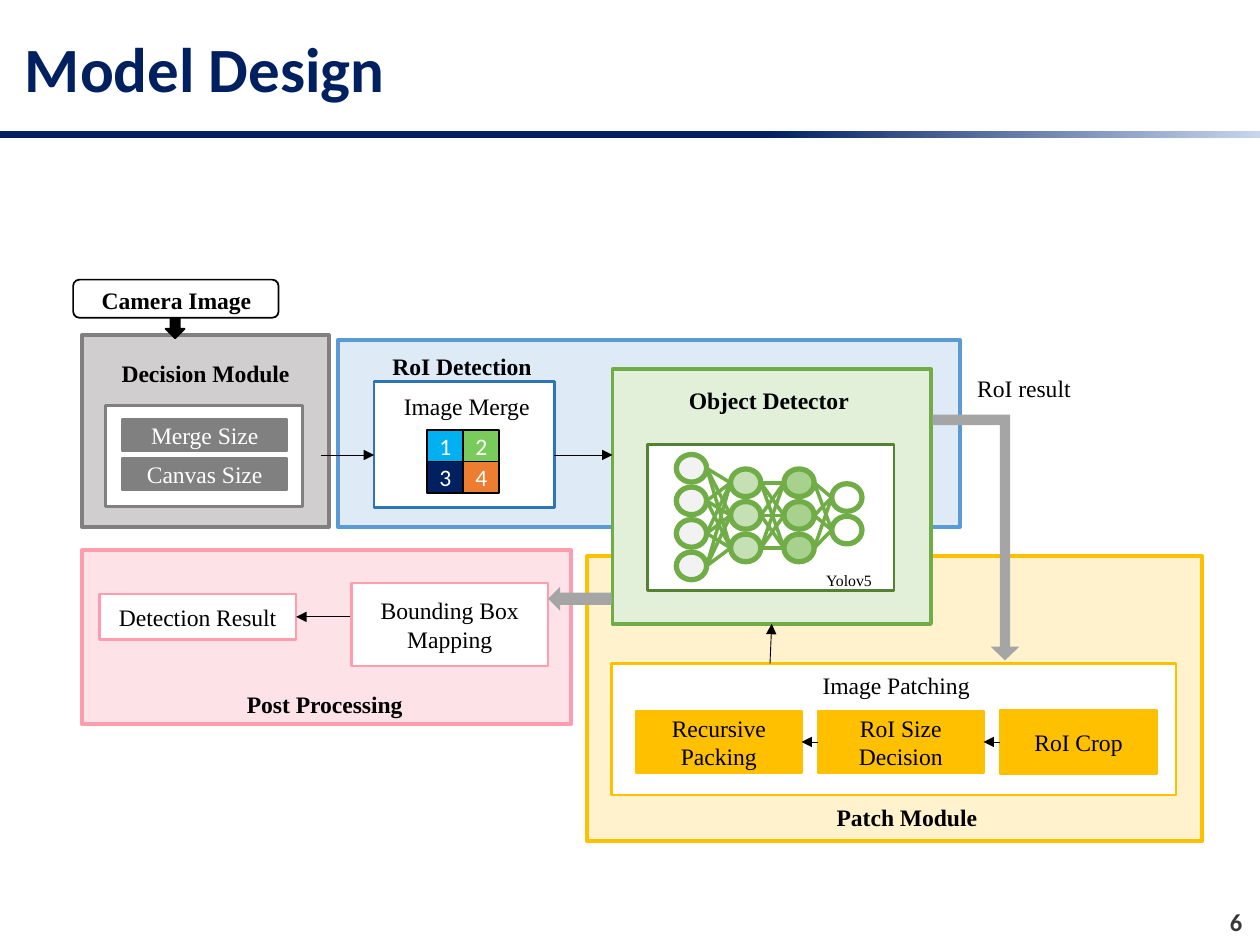
from itertools import product

from lxml.etree import SubElement
from pptx import Presentation
from pptx.dml.color import RGBColor
from pptx.enum.shapes import MSO_CONNECTOR, MSO_SHAPE
from pptx.enum.text import MSO_ANCHOR, MSO_AUTO_SIZE, PP_ALIGN
from pptx.oxml.ns import qn
from pptx.util import Pt

SERIF, SANS = "Times New Roman", "Calibri"
BLACK, WHITE, GRAY, NAVY = "000000", "FFFFFF", "808080", "002060"
PINK, GOLD, GREEN, ARROW_GRAY = "FD9DAD", "FFC000", "70AD47", "A5A5A5"


def color(hex_value):
    return RGBColor.from_string(hex_value)


class Diagram:
    """Holds the text style and the slide, with one method per kind of element."""

    text_style = {"name": SERIF, "size": Pt(13.5), "bold": False}

    def __init__(self, slide):
        self.slide = slide
        self.shapes = slide.shapes

    def add_text(self, shape, text, ink=BLACK, align=PP_ALIGN.LEFT, **changes):
        para = shape.text_frame.paragraphs[0]
        para.alignment = align
        span = para.add_run()
        span.text = text
        for name, value in {**self.text_style, **changes}.items():
            setattr(span.font, name, value)
        span.font.color.rgb = color(ink)

    def box(self, place, fill=None, line=None, width=1.5, text=None,
            kind=MSO_SHAPE.RECTANGLE, **text_format):
        shape = self.shapes.add_shape(kind, *map(Pt, place))
        shape.shadow.inherit = False
        for part, value in ((shape.fill, fill), (shape.line.fill, line)):
            if value:
                part.solid()
                part.fore_color.rgb = color(value)
            else:
                part.background()
        if line:
            shape.line.width = Pt(width)
        if text:
            shape.text_frame.word_wrap = True
            shape.text_frame.vertical_anchor = MSO_ANCHOR.MIDDLE
            self.add_text(shape, text, align=PP_ALIGN.CENTER, **text_format)
        return shape

    def label(self, place, text, wrap=False, grow=True,
              anchor=MSO_ANCHOR.TOP, **text_format):
        shape = self.shapes.add_textbox(*map(Pt, place))
        frame = shape.text_frame
        frame.word_wrap = wrap
        frame.vertical_anchor = anchor
        frame.auto_size = (MSO_AUTO_SIZE.SHAPE_TO_FIT_TEXT if grow
                           else MSO_AUTO_SIZE.NONE)
        self.add_text(shape, text, **text_format)

    def line(self, start, end, ink=BLACK, width=0.5, arrow=True,
             begin_at=None, end_at=None):
        link = self.shapes.add_connector(
            MSO_CONNECTOR.STRAIGHT, *map(Pt, (*start, *end)))
        link.line.color.rgb = color(ink)
        link.line.width = Pt(width)
        if begin_at:
            link.begin_connect(*begin_at)
        if end_at:
            link.end_connect(*end_at)
        properties = link.element.spPr
        if arrow:
            SubElement(properties.find(qn("a:ln")), qn("a:tailEnd"), type="triangle")
        SubElement(properties, qn("a:effectLst"))

    def network(self, layers, node_width, node_height, step):
        """Draw fully linked layers of (left, first top, count, fill) as a group."""
        self.shapes = self.slide.shapes.add_group_shape().shapes
        columns = [[(left, top + step * row) for row in range(count)]
                   for left, top, count, _ in layers]
        for sources, targets in zip(columns, columns[1:]):
            for (x1, y1), (x2, y2) in product(sources, targets):
                self.line((x1 + node_width, y1 + node_height / 2),
                          (x2, y2 + node_height / 2), GREEN, 2, arrow=False)
        for nodes, (_, _, _, fill) in zip(columns, layers):
            for left, top in nodes:
                self.box((left, top, node_width, node_height), fill, GREEN, 3,
                         kind=MSO_SHAPE.OVAL)
        self.shapes = self.slide.shapes


def main():
    deck = Presentation()
    deck.slide_width, deck.slide_height = Pt(720), Pt(540)
    page = Diagram(deck.slides.add_slide(deck.slide_layouts[6]))

    # Title, rule and page number
    rule = page.box((0, 75, 720, 3.6), NAVY)
    rule.fill.gradient()
    rule.fill.gradient_angle = 0
    for stop, (position, ink) in zip(rule.fill.gradient_stops,
                                     ((0.61, NAVY), (1, "C7D5ED"))):
        stop.position = position
        stop.color.rgb = color(ink)
    page.label((7.2, 9.4, 684, 57.6), "Model Design", wrap=True, grow=False,
               anchor=MSO_ANCHOR.MIDDLE, name=SANS, size=Pt(36), bold=True, ink=NAVY)
    page.label((687, 515, 30, 21.6), "6", wrap=True, grow=False, name=SANS,
               size=Pt(14), bold=True, ink="3B3838", align=PP_ALIGN.RIGHT)

    # Module panels, back to front
    for place, fill, line in (
        ((46.8, 191.5, 141, 109.5), "D0CECE", GRAY),
        ((46.8, 314.5, 279.5, 99.5), "FDE3E7", PINK),
        ((335.5, 318, 351.5, 162.7), "FFF2CC", GOLD),
        ((193, 194.4, 355.7, 106.6), "DEEBF7", "5B9BD5"),
    ):
        page.box(place, fill, line, 2.25)
    detector = page.box((350, 211, 182, 145.5), "E2F0D9", GREEN, 2.25)

    # Camera input
    page.box((41.8, 159.8, 117.4, 21.8), None, BLACK, 1,
             kind=MSO_SHAPE.ROUNDED_RECTANGLE)
    camera_arrow = page.box((94.3, 182.2, 11.5, 10.8), BLACK, BLACK, 1,
                            kind=MSO_SHAPE.RIGHT_ARROW)
    camera_arrow.rotation = 90

    # Decision module
    page.box((60.5, 231.8, 112.3, 57.6), WHITE, GRAY)
    for row, text in enumerate(("Merge Size", "Canvas Size")):
        page.box((69.8, 239.8 + 22.3 * row, 94.3, 18), GRAY, GRAY,
                 text=text, ink=WHITE)

    # Image merge with its two by two tiles
    page.box((213.8, 218, 103, 72), WHITE, "2E75B6")
    for index, fill in enumerate(("00B0F0", "79CC5C", NAVY, "ED7D31")):
        row, column = divmod(index, 2)
        page.box((244 + 20.5 * column, 245.7 + 18 * row, 20.5, 18), fill, BLACK, 1,
                 text=str(index + 1), ink=WHITE, name=SANS)

    # Object detector
    page.box((370, 254, 141, 83.5), WHITE, "548235")
    page.network(((386.5, 259.7, 4, "F2F2F2"), (417.5, 268, 3, "C5E0B4"),
                  (448, 268, 3, "A9D18E"), (475.3, 276.4, 2, None)),
                 17.3, 15.8, 18.6)
    page.label((465, 322.6, 46.8, 18), "Yolov5", wrap=True, size=Pt(9))

    # Post processing
    page.box((200.7, 333.2, 112.5, 47.3), WHITE, PINK, text="Bounding Box Mapping")
    result = page.box((56.7, 339.5, 112.5, 26), WHITE, PINK, text="Detection Result")

    # Patch module
    page.box((349.3, 379.3, 322.7, 75), WHITE, GOLD)
    packing, decision, crop = [
        page.box((left, 424 - height / 2, width, height), GOLD, GOLD, text=text)
        for left, width, height, text in (
            (363.5, 94.5, 35.5, "Recursive Packing"),
            (467.5, 94.5, 35.5, "RoI Size Decision"),
            (571.5, 89.5, 36.5, "RoI Crop"))
    ]

    # Headings and captions
    for left, top, width, text, bold in (
        (51, 159.8, 101.5, "Camera Image", True),
        (62.4, 201.8, 118, "Decision Module", True),
        (217.2, 197.6, 95, "RoI Detection", True),
        (386.5, 217, 110, "Object Detector", True),
        (134, 390.5, 105, "Post Processing", True),
        (471, 455.5, 95.8, "Patch Module", True),
        (223.7, 220.4, 87, "Image Merge", False),
        (463, 380, 100, "Image Patching", False),
        (551.3, 210, 68.5, "RoI result", False),
    ):
        page.label((left, top, width, 23.8), text, bold=bold)

    # Thin arrows
    page.line((183.6, 260), (213.8, 260))
    page.line((316.8, 260), (350, 260))
    page.line((440, 379.3), (440, 356.5), end_at=(detector, 2))
    page.line((200.2, 352.5), (169.2, 352.5), end_at=(result, 3))
    for source, target in ((crop, decision), (decision, packing)):
        page.line((0, 0), (0, 0), begin_at=(source, 1), end_at=(target, 3))

    # Block arrows
    roi_arrow = page.box((532.8, 237, 49.7, 140.4), ARROW_GRAY,
                         kind=MSO_SHAPE.BENT_UP_ARROW)
    for index, value in enumerate((0.12, 0.165, 0.159)):
        roi_arrow.adjustments[index] = value
    roi_arrow.element.spPr.find(qn("a:xfrm")).set("flipV", "1")
    page.box((313.2, 335.3, 36.3, 13.7), ARROW_GRAY, kind=MSO_SHAPE.LEFT_ARROW)

    deck.save("out.pptx")


if __name__ == "__main__":
    main()
